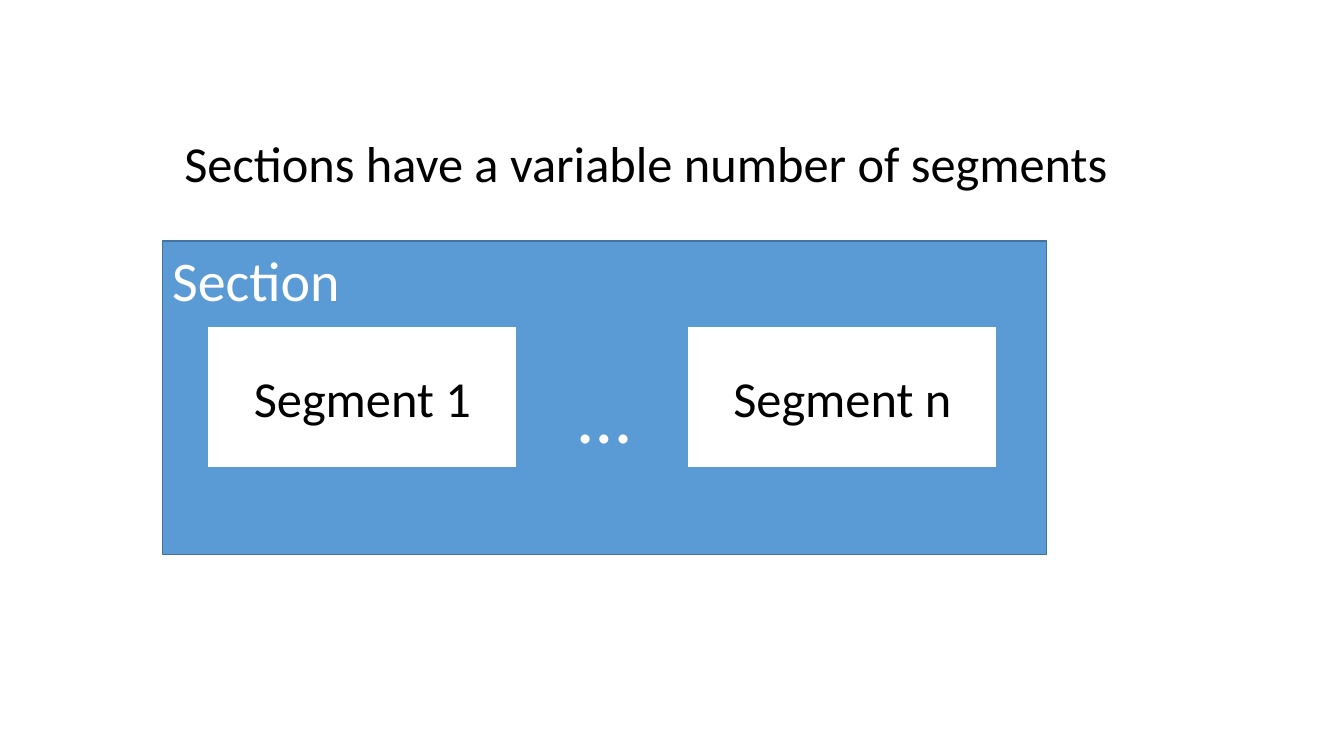
from pptx import Presentation
from pptx.dml.color import RGBColor
from pptx.enum.shapes import MSO_SHAPE
from pptx.enum.text import MSO_ANCHOR, PP_ALIGN
from pptx.util import Inches, Pt

BLACK = RGBColor(0x00, 0x00, 0x00)
WHITE = RGBColor(0xFF, 0xFF, 0xFF)
BLUE = RGBColor(0x5B, 0x9B, 0xD5)
DARK_BLUE = RGBColor(0x43, 0x73, 0x9E)


class SlideBuilder:
    """Holds the text style and the slide being built."""

    font = "Calibri"

    def __init__(self, slide):
        """Keep the slide to draw on."""
        self.slide = slide

    def add_text(self, para, text, size, color, align=PP_ALIGN.LEFT):
        """Add one styled run to a paragraph."""
        para.alignment = align
        span = para.add_run()
        span.text = text
        span.font.name = self.font
        span.font.size = Pt(size)
        span.font.color.rgb = color

    def heading(self, text, left, top, width, height):
        """Add the line of text above the diagram."""
        box = self.slide.shapes.add_textbox(
            Inches(left), Inches(top), Inches(width), Inches(height))
        box.text_frame.word_wrap = True
        para = box.text_frame.paragraphs[0]
        para.line_spacing = 0.9
        self.add_text(para, text, 36, BLACK)

    def rectangle(self, left, top, width, height, fill, line, anchor):
        """Add a rectangle and return its text frame."""
        box = self.slide.shapes.add_shape(
            MSO_SHAPE.RECTANGLE,
            Inches(left), Inches(top), Inches(width), Inches(height))
        box.shadow.inherit = False
        box.fill.solid()
        box.fill.fore_color.rgb = fill
        box.line.color.rgb = line
        box.line.width = Pt(1)
        frame = box.text_frame
        frame.word_wrap = True
        frame.vertical_anchor = anchor
        return frame

    def section(self, title, left, top, width, height):
        """Add the section with its title and the ellipsis below it."""
        frame = self.rectangle(left, top, width, height,
                               BLUE, DARK_BLUE, MSO_ANCHOR.TOP)
        self.add_text(frame.paragraphs[0], title, 40, WHITE)
        para = frame.add_paragraph()
        para.space_before = Pt(39)
        self.add_text(para, "…", 54, WHITE, PP_ALIGN.CENTER)

    def segment(self, label, left, top, width, height):
        """Add one labelled segment."""
        frame = self.rectangle(left, top, width, height,
                               WHITE, BLUE, MSO_ANCHOR.MIDDLE)
        self.add_text(frame.paragraphs[0], label, 36, BLACK, PP_ALIGN.CENTER)


def main():
    """Build and save the deck."""
    deck = Presentation()
    deck.slide_width, deck.slide_height = Inches(13.33), Inches(7.5)
    page = SlideBuilder(deck.slides.add_slide(deck.slide_layouts[6]))
    page.heading("Sections have a variable number of segments",
                 1.73, 1.33, 9.44, 0.69)
    page.section("Section", 1.61, 2.39, 8.77, 3.11)
    for label, left in (("Segment 1", 2.06), ("Segment n", 6.82)):
        page.segment(label, left, 3.24, 3.07, 1.4)
    deck.save("out.pptx")


main()
